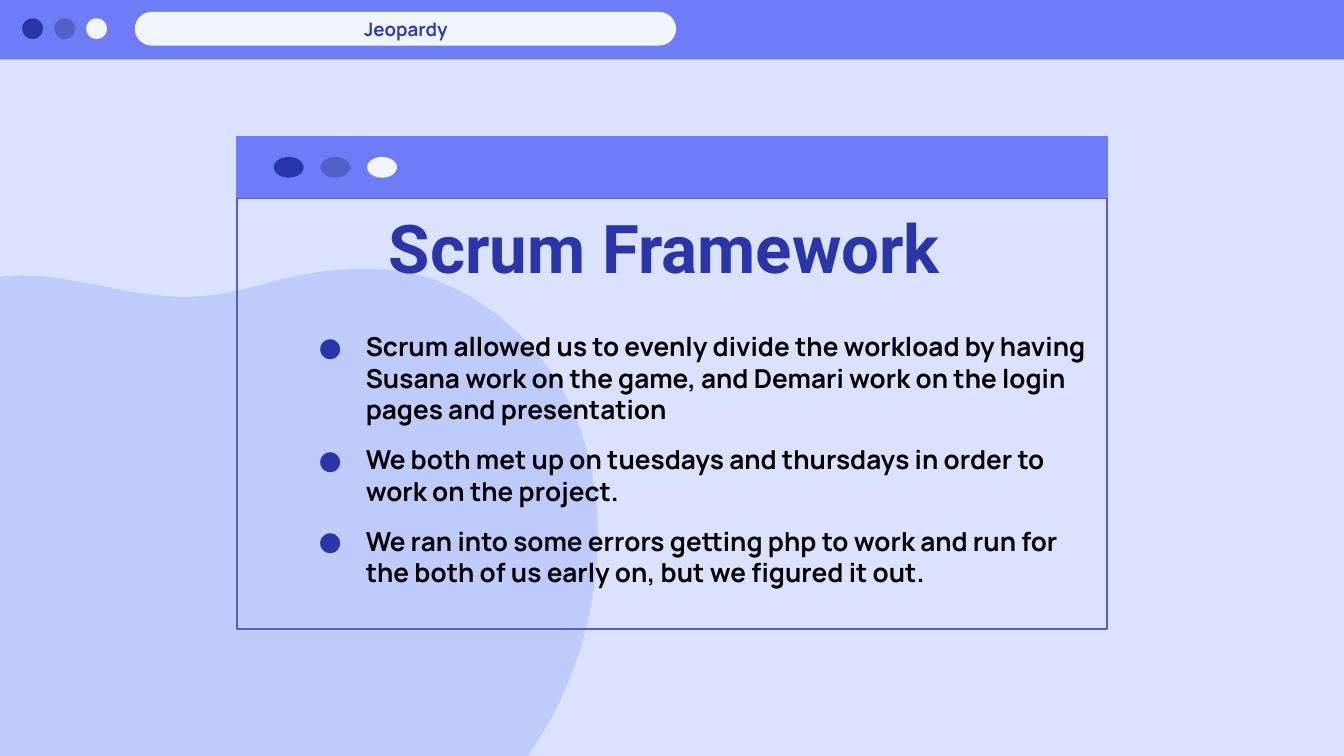
from pptx import Presentation
from pptx.dml.color import RGBColor
from pptx.enum.shapes import MSO_SHAPE
from pptx.enum.text import MSO_ANCHOR, PP_ALIGN
from pptx.oxml import parse_xml
from pptx.oxml.ns import nsdecls, qn
from pptx.util import Pt

# Content
TAB_LABEL = "Jeopardy"
TITLE = "Scrum Framework"
BULLETS = [
    "Scrum allowed us to evenly divide the workload by having Susana work on the game, "
    "and Demari work on the login pages and presentation",
    "We both met up on tuesdays and thursdays in order to work on the project.",
    "We ran into some errors getting php to work and run for the both of us early on, "
    "but we figured it out.",
]

# Colours
BACKGROUND, BLOB, BAR, PALE = "DBE2FF", "BFCBFC", "6F7CF8", "F2F5FF"
NAVY, OUTLINE, TAB_TEXT, BLACK = "2A36A7", "5560C7", "2F3CB4", "000000"
DOT_COLORS = [NAVY, OUTLINE, PALE]

# Background blob: start point, then Bezier curves (two controls and an end)
BLOB_START = (118, 489.6)
BLOB_CURVES = [
    ((106.6, 489.6), (94.3, 488.2), (82.8, 486)),
    ((59, 481.7), (36, 473), (15.1, 460.1)),
    ((4.3, 452.9), (-6.5, 445), (-15.8, 436.3)),
    ((-18.7, 433.4), (-21.6, 430.6), (-24.5, 427.7)),
    ((-36, 415.4), (-45.4, 402.5), (-53.3, 387.4)),
    ((-75.6, 347.8), (-83.5, 298.8), (-77.8, 252.7)),
    ((-74.9, 231.8), (-70.6, 209.5), (-59.8, 190.8)),
    ((-51.1, 175.7), (-38.2, 162), (-22.3, 154.8)),
    ((-10.8, 149.8), (0.7, 147.6), (12.2, 147.6)),
    ((40.3, 147.6), (69.8, 159.1), (98.6, 159.1)),
    ((116.6, 159.1), (132.5, 154.8), (147.6, 150.5)),
    ((164.2, 146.2), (179.3, 144), (195.1, 144)),
    ((207.4, 144), (218.9, 145.4), (230.4, 149)),
    ((254.9, 157.7), (276.5, 174.2), (291.6, 194.4)),
    ((331.2, 246.2), (326.2, 323.3), (298.1, 379.4)),
    ((264.2, 447.1), (193, 489.6), BLOB_START),
]

# Window frame
WINDOW_LEFT, WINDOW_TOP, WINDOW_WIDTH = 127, 73.2, 466
HEADER_HEIGHT, BODY_HEIGHT = 33, 230.8


def color(value):
    return RGBColor.from_string(value)


def paint(shape, fill=None, line=None):
    shape.shadow.inherit = False
    if fill:
        shape.fill.solid()
        shape.fill.fore_color.rgb = color(fill)
    else:
        shape.fill.background()
    if line:
        shape.line.color.rgb = color(line)
        shape.line.width = Pt(0.75)
    else:
        shape.line.fill.background()


def add_box(slide, kind, left, top, width, height, fill=None, line=None):
    shape = slide.shapes.add_shape(kind, Pt(left), Pt(top), Pt(width), Pt(height))
    paint(shape, fill, line)
    return shape


def add_dots(slide, left, top, width, height, pitch):
    for index, fill in enumerate(DOT_COLORS):
        add_box(slide, MSO_SHAPE.OVAL, left + index * pitch, top, width, height, fill)


def add_curved_shape(slide, start, curves, fill):
    """Outline all the points, then turn each three segments into one curve."""
    builder = slide.shapes.build_freeform(*(Pt(value) for value in start))
    builder.add_line_segments([(Pt(x), Pt(y)) for curve in curves for x, y in curve])
    shape = builder.convert_to_shape()
    segments = list(shape._element.iter(qn("a:lnTo")))
    for first in range(0, len(segments), 3):
        curve = parse_xml(f'<a:cubicBezTo {nsdecls("a")}/>')
        segments[first].addprevious(curve)
        for segment in segments[first:first + 3]:
            curve.append(segment[0])
            segment.getparent().remove(segment)
    paint(shape, fill)


def add_text(slide, left, top, width, height, lines, font, size, text_color,
             align=PP_ALIGN.LEFT, anchor=MSO_ANCHOR.TOP, margin_top=0):
    box = slide.shapes.add_textbox(Pt(left), Pt(top), Pt(width), Pt(height))
    frame = box.text_frame
    frame.word_wrap = True
    frame.vertical_anchor = anchor
    frame.margin_top, frame.margin_bottom = Pt(margin_top), 0
    frame.text = "\n".join(lines)
    for paragraph in frame.paragraphs:
        paragraph.alignment = align
        paragraph.font.name = font
        paragraph.font.size = Pt(size)
        paragraph.font.bold = True
        paragraph.font.color.rgb = color(text_color)
    return frame


def add_bullet(paragraph):
    properties = paragraph._p.get_or_add_pPr()
    properties.set("marL", str(Pt(36)))
    properties.set("indent", str(Pt(-25.2)))
    markup = [f'<a:buClr {nsdecls("a")}><a:srgbClr val="{NAVY}"/></a:buClr>',
              f'<a:buFont {nsdecls("a")} typeface="Manrope"/>',
              f'<a:buChar {nsdecls("a")} char="●"/>']
    position = len(properties.findall("{*}spcBef"))
    for offset, element in enumerate(markup):
        properties.insert(position + offset, parse_xml(element))


def main():
    presentation = Presentation()
    presentation.slide_width, presentation.slide_height = Pt(720), Pt(405)
    slide = presentation.slides.add_slide(presentation.slide_layouts[6])
    slide.background.fill.solid()
    slide.background.fill.fore_color.rgb = color(BACKGROUND)

    # Background blob
    add_curved_shape(slide, BLOB_START, BLOB_CURVES, BLOB)

    # Browser bar with address field
    add_box(slide, MSO_SHAPE.RECTANGLE, -1.5, -1.5, 723, 33.4, BAR)
    add_dots(slide, 11.9, 9.8, 11.1, 11.1, 17.15)
    field = add_box(slide, MSO_SHAPE.ROUNDED_RECTANGLE, 72.2, 6.4, 290, 18, PALE)
    field.adjustments[0] = 0.5

    # Window
    add_box(slide, MSO_SHAPE.RECTANGLE, WINDOW_LEFT, WINDOW_TOP,
            WINDOW_WIDTH, HEADER_HEIGHT, BAR, BAR)
    add_dots(slide, 146.7, 84.1, 16, 11.1, 25)
    add_box(slide, MSO_SHAPE.RECTANGLE, WINDOW_LEFT, WINDOW_TOP + HEADER_HEIGHT,
            WINDOW_WIDTH, BODY_HEIGHT, line=OUTLINE)

    # Text
    add_text(slide, WINDOW_LEFT, 110.5, 458, 45.4, [TITLE], "Roboto", 36, NAVY,
             PP_ALIGN.CENTER)
    body = add_text(slide, 152.9, 160.6, 440, 176.4, BULLETS, "Manrope", 14, BLACK,
                    margin_top=16.6)
    for index, paragraph in enumerate(body.paragraphs):
        if index:
            paragraph.space_before = Pt(10)
        add_bullet(paragraph)
    add_text(slide, 81.4, 6.5, 272, 18, [TAB_LABEL], "Manrope", 10, TAB_TEXT,
             PP_ALIGN.CENTER, MSO_ANCHOR.MIDDLE)

    presentation.save("out.pptx")


if __name__ == "__main__":
    main()
